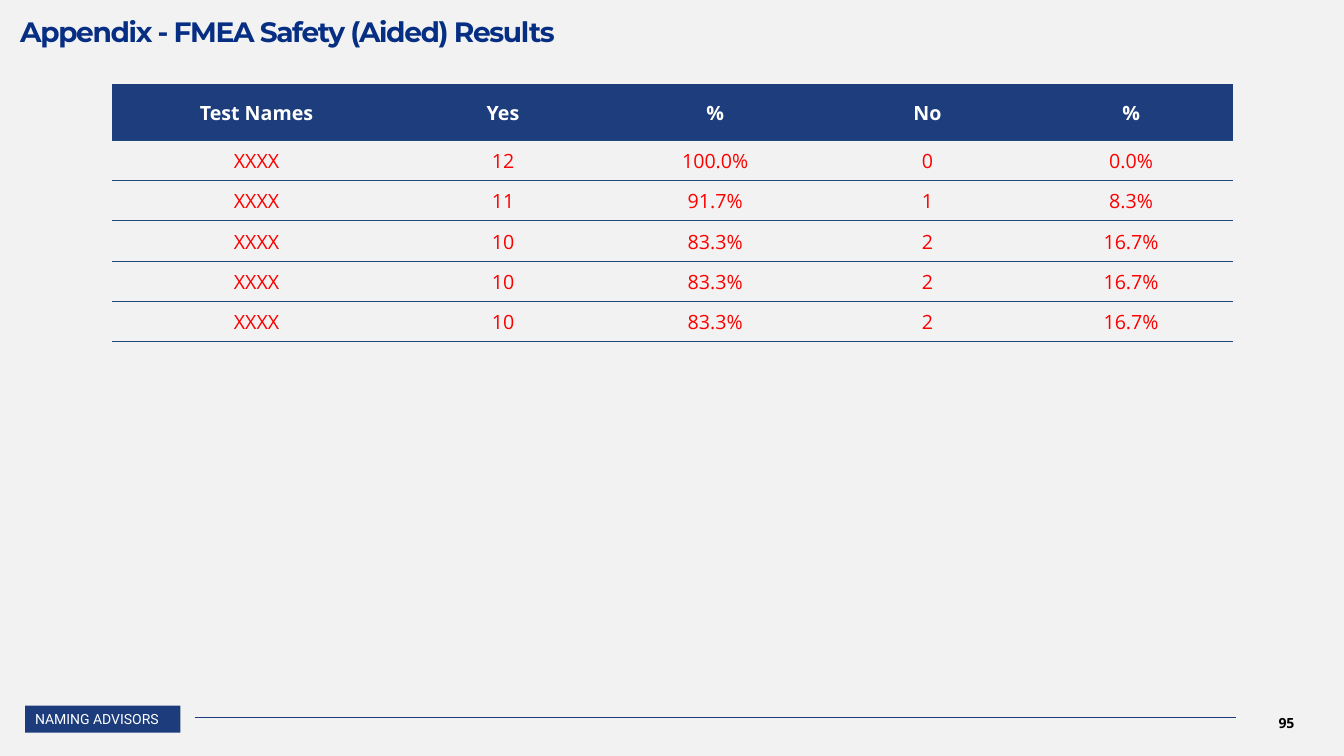
from dataclasses import dataclass

from lxml.etree import SubElement
from pptx import Presentation
from pptx.dml.color import RGBColor
from pptx.enum.shapes import MSO_CONNECTOR, MSO_SHAPE
from pptx.enum.text import MSO_ANCHOR, PP_ALIGN
from pptx.oxml import parse_xml
from pptx.oxml.ns import nsdecls, qn
from pptx.slide import Slide
from pptx.text.text import TextFrame
from pptx.util import Inches, Pt


@dataclass(frozen=True)
class Theme:
    background: str = "F2F2F2"
    title: str = "062E83"
    navy: str = "1D3C7C"
    header: str = "1D3D7C"
    rule: str = "1F497D"
    result: str = "FF0000"
    white: str = "FFFFFF"
    black: str = "000000"
    title_font: str = "Montserrat"
    table_font: str = "Open Sans"
    label_font: str = "Roboto"
    title_size: int = 20
    table_size: int = 14
    footer_size: int = 10
    rule_width: float = 0.5


@dataclass(frozen=True)
class Result:
    name: str
    yes: int
    no: int

    def cells(self) -> list[str]:
        total = self.yes + self.no
        return [self.name, str(self.yes), f"{self.yes / total:.1%}",
                str(self.no), f"{self.no / total:.1%}"]


THEME = Theme()
HEADERS = ["Test Names", "Yes", "%", "No", "%"]
COLUMN_WIDTHS = [2.87, 2.02, 2.19, 2.02, 2.02]
HEADER_HEIGHT, ROW_HEIGHT = 0.56, 0.4
RESULTS = [Result("XXXX", yes, 12 - yes) for yes in (12, 11, 10, 10, 10)]
NO_STYLE = "{2D5ABB26-0587-4C30-8999-92F81FD0307C}"


def rgb(color: str) -> RGBColor:
    return RGBColor.from_string(color)


def write(tf: TextFrame, text: str, *, font: str, size: float, color: str,
          bold: bool = False, align: PP_ALIGN = PP_ALIGN.LEFT,
          line_spacing: float | None = None, tracking: float = 0) -> None:
    p = tf.paragraphs[0]
    p.alignment = align
    p.line_spacing = line_spacing
    r = p.add_run()
    r.text = text
    r.font.name, r.font.size, r.font.bold = font, Pt(size), bold
    r.font.color.rgb = rgb(color)
    if tracking:
        r.font._element.set("spc", str(int(tracking * 100)))


def add_title(s: Slide, text: str) -> None:
    title = s.shapes.title
    title.left, title.top = Inches(0.2), Inches(0)
    title.width, title.height = Inches(12.82), Inches(0.48)
    tf = title.text_frame
    tf.word_wrap = True
    tf.vertical_anchor = MSO_ANCHOR.TOP
    tf.margin_left = tf.margin_right = tf.margin_bottom = 0
    tf.margin_top = Inches(0.21)
    write(tf, text, font=THEME.title_font, size=THEME.title_size,
          color=THEME.title, bold=True, line_spacing=0.8, tracking=-1)


def add_results(s: Slide) -> None:
    rows = [HEADERS] + [result.cells() for result in RESULTS]
    heights = [HEADER_HEIGHT] + [ROW_HEIGHT] * len(RESULTS)
    frame = s.shapes.add_table(
        len(rows), len(HEADERS), Inches(1.11), Inches(0.83),
        Inches(sum(COLUMN_WIDTHS)), Inches(sum(heights)))
    table = frame.table
    table.horz_banding = False
    table._tbl.tblPr.find(qn("a:tableStyleId")).text = NO_STYLE
    for column, width in zip(table.columns, COLUMN_WIDTHS):
        column.width = Inches(width)
    for i, (values, height) in enumerate(zip(rows, heights)):
        table.rows[i].height = Inches(height)
        head = i == 0
        for cell, value in zip(table.rows[i].cells, values):
            cell.vertical_anchor = MSO_ANCHOR.MIDDLE
            cell.margin_left = cell.margin_right = cell.margin_top = Inches(0.01)
            cell.margin_bottom = 0
            cell.fill.solid()
            cell.fill.fore_color.rgb = rgb(THEME.header if head else THEME.background)
            # Rule below each row
            cell._tc.get_or_add_tcPr().insert(0, parse_xml(
                f'<a:lnB {nsdecls("a")} w="{Pt(THEME.rule_width)}"><a:solidFill>'
                f'<a:srgbClr val="{THEME.rule}"/></a:solidFill></a:lnB>'))
            write(cell.text_frame, value, font=THEME.table_font,
                  size=THEME.table_size, bold=head, align=PP_ALIGN.CENTER,
                  color=THEME.white if head else THEME.result)


def add_footer(s: Slide, label: str, number: str) -> None:
    # Company label
    box = s.shapes.add_shape(MSO_SHAPE.RECTANGLE, Inches(0.25), Inches(7),
                             Inches(1.54), Inches(0.27))
    box.shadow.inherit = False
    box.fill.solid()
    box.fill.fore_color.rgb = rgb(THEME.navy)
    box.line.fill.background()
    box.text_frame.vertical_anchor = MSO_ANCHOR.MIDDLE
    write(box.text_frame, label, font=THEME.label_font,
          size=THEME.footer_size, color=THEME.white)

    # Footer line
    line = s.shapes.add_connector(MSO_CONNECTOR.STRAIGHT, Inches(1.93),
                                  Inches(7.12), Inches(12.26), Inches(7.12))
    line.line.color.rgb = rgb(THEME.navy)
    line.line.width = Pt(THEME.rule_width)
    SubElement(line._element.spPr, qn("a:effectLst"))

    # Page number
    page = s.shapes.add_textbox(Inches(12.21), Inches(6.97), Inches(1.1), Inches(0.4))
    tf = page.text_frame
    tf.word_wrap = True
    tf.vertical_anchor = MSO_ANCHOR.MIDDLE
    write(tf, number, font=THEME.table_font, size=THEME.footer_size,
          color=THEME.black, bold=True, align=PP_ALIGN.CENTER)


def main() -> None:
    prs = Presentation()
    prs.slide_width, prs.slide_height = Inches(13.33), Inches(7.5)
    s = prs.slides.add_slide(prs.slide_layouts[5])
    s.background.fill.solid()
    s.background.fill.fore_color.rgb = rgb(THEME.background)
    add_footer(s, "NAMING ADVISORS", "95")
    add_title(s, "Appendix - FMEA Safety (Aided) Results")
    add_results(s)
    prs.save("out.pptx")


if __name__ == "__main__":
    main()
